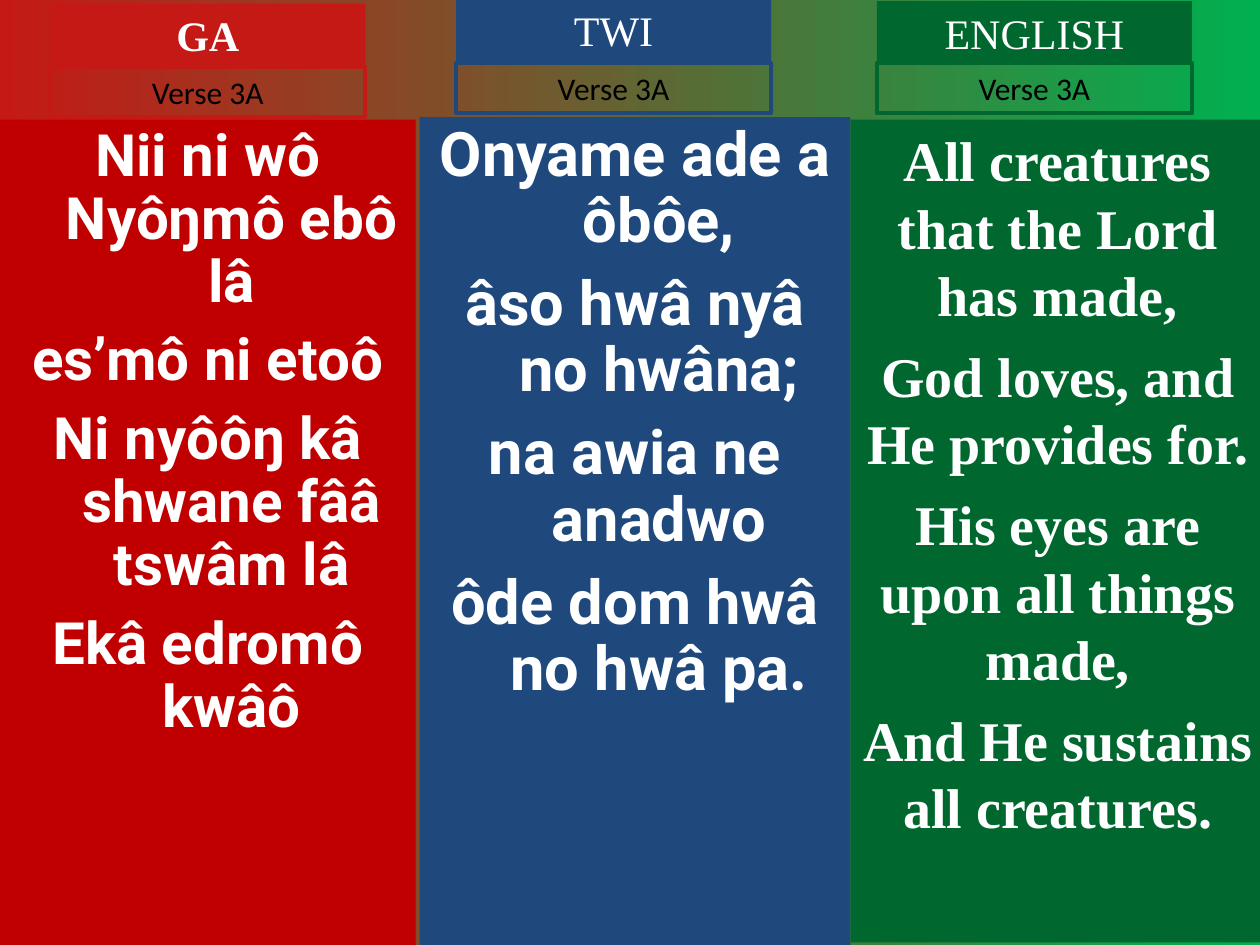
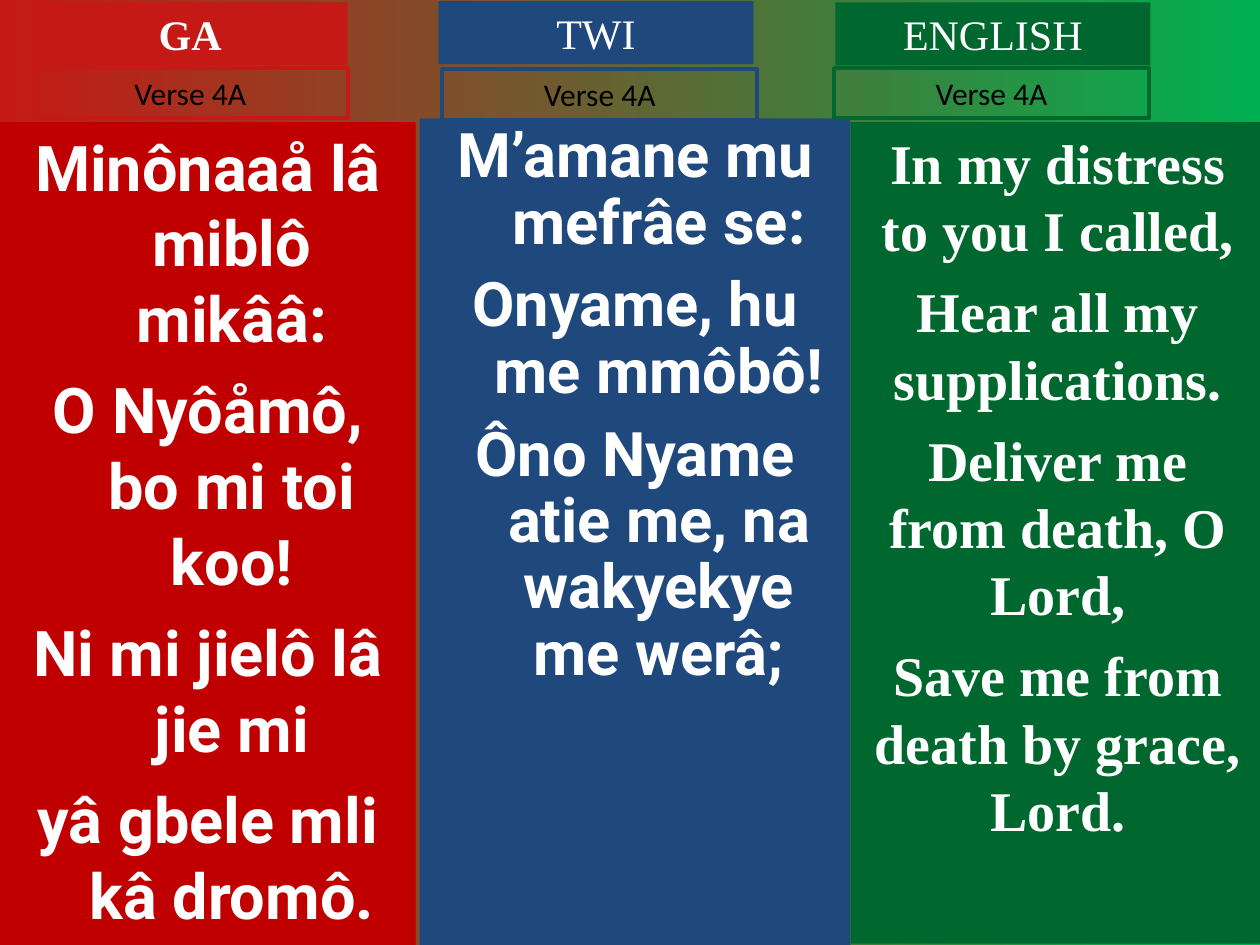
from pptx import Presentation, util as u
from pptx.dml.color import RGBColor
from pptx.enum import shapes, text

RED, BLUE, GREEN, WHITE, BLACK = "C51915", "1F497D", "00682F", "FFFFFF", "000000"
BACK = (RED, "00B050")
SERIF, SANS, PLAIN = "Times New Roman", "Roboto", "Calibri"

# Shared look of each language column
COLS = [
    dict(name="GA", tint=RED, fill="C00000", left=0, wide=3.3, face=SANS,
         hang=0.38, gap=9, bold=True),
    dict(name="TWI", tint=BLUE, fill=BLUE, left=3.33, wide=3.42, face=SANS,
         hang=0.38, gap=9.5, bold=False),
    dict(name="ENGLISH", tint=GREEN, fill=GREEN, left=6.75, wide=3.29, face=SERIF,
         hang=0, gap=8, bold=False),
]

# Per column: title (left, top), verse (left, top), body (top, height), size, spacing, lines
VERSES = [
    ("Verse 3A", [
        ((0.4, 0.03), (0.4, 0.53), (0.95, 6.55), 33.3, 0.9,
         ["Nii ni wô Nyôŋmô ebô lâ", "es’mô ni etoô",
          "Ni nyôôŋ kâ shwane fââ tswâm lâ", "Ekâ edromô kwâô"]),
        ((3.62, -0.01), (3.62, 0.5), (0.93, 6.57), 35.1, 0.9,
         ["Onyame ade a ôbôe,", "âso hwâ nyâ no hwâna;",
          "na awia ne anadwo", "ôde dom hwâ no hwâ pa."]),
        ((6.96, 0.01), (6.96, 0.5), (0.95, 6.53), 32, 1,
         ["All creatures that the Lord has made,", "God loves, and He provides for.",
          "His eyes are upon all things made,", "And He sustains all creatures."]),
    ]),
    ("Verse 4A", [
        ((0.26, 0.02), (0.26, 0.54), (0.97, 6.53), 36, 1,
         ["Minônaaå lâ miblô mikââ:", "O Nyôåmô, bo mi toi koo!",
          "Ni mi jielô lâ jie mi", "yâ gbele mli kâ dromô."]),
        ((3.48, 0.01), (3.51, 0.55), (0.94, 6.56), 35.1, 0.9,
         ["M’amane mu mefrâe se:", "Onyame, hu me mmôbô!",
          "Ôno Nyame atie me, na wakyekye me werâ;"]),
        ((6.63, 0.02), (6.62, 0.54), (0.97, 6.52), 32, 1,
         ["In my distress to you I called,", "Hear all my supplications.",
          "Deliver me from death, O Lord,", "Save me from death by grace, Lord."]),
    ]),
]


def rgb(code):
    """Turn a hex string into a colour."""
    return RGBColor.from_string(code)


def panel(slide, box, lines, font, ink=WHITE, fill=None, edge=None, grow=False,
          hang=0, gap=0, pitch=1):
    """Add a rectangle with centred paragraphs."""
    rect = slide.shapes.add_shape(shapes.MSO_SHAPE.RECTANGLE, *map(u.Inches, box))
    rect.shadow.inherit = False
    if fill:
        rect.fill.solid()
        rect.fill.fore_color.rgb = rgb(fill)
    else:
        rect.fill.background()
    if edge:
        rect.line.color.rgb = rgb(edge)
        rect.line.width = u.Pt(2.25)
    else:
        rect.line.fill.background()
    frame = rect.text_frame
    frame.word_wrap = True
    frame.vertical_anchor = text.MSO_ANCHOR.TOP
    if grow:
        frame.auto_size = text.MSO_AUTO_SIZE.SHAPE_TO_FIT_TEXT
    for i, line in enumerate(lines):
        para = frame.paragraphs[0] if i == 0 else frame.add_paragraph()
        form = dict(alignment=text.PP_ALIGN.CENTER, line_spacing=pitch,
                    space_before=u.Pt(gap if i else 0))
        for key, value in form.items():
            setattr(para, key, value)
        if hang:
            props = para._p.get_or_add_pPr()
            props.set("marL", str(u.Inches(hang)))
            props.set("indent", str(-u.Inches(hang)))
        run = para.add_run()
        run.text = line
        for key, value in font.items():
            setattr(run.font, key, value)
        run.font.color.rgb = rgb(ink)


def paint(slide):
    """Fill the slide background with the shared gradient."""
    fill = slide.background.fill
    fill.gradient()
    fill.gradient_angle = 0
    for i, (stop, code) in enumerate(zip(fill.gradient_stops, BACK)):
        stop.color.rgb = rgb(code)
        stop.position = i


def build(deck, label, parts):
    """Add one verse in three languages."""
    slide = deck.slides.add_slide(deck.slide_layouts[6])
    paint(slide)
    for col, (_, _, (top, high), size, pitch, lines) in zip(COLS, parts):
        panel(slide, (col["left"], top, col["wide"], high), lines,
              dict(name=col["face"], size=u.Pt(size), bold=True),
              fill=col["fill"], hang=col["hang"], gap=col["gap"], pitch=pitch)
    for col, (title, verse, *_) in zip(COLS, parts):
        panel(slide, (*title, 2.5, 0.5), [col["name"]],
              dict(name=SERIF, size=u.Pt(24), bold=col["bold"]),
              fill=col["tint"], grow=True)
        panel(slide, (*verse, 2.5, 0.4), [label], dict(name=PLAIN, size=u.Pt(18)),
              ink=BLACK, edge=col["tint"], grow=True)


def main():
    """Build and save the deck."""
    deck = Presentation()
    deck.slide_width, deck.slide_height = u.Inches(10), u.Inches(7.5)
    for label, parts in VERSES:
        build(deck, label, parts)
    deck.save("out.pptx")


if __name__ == "__main__":
    main()
